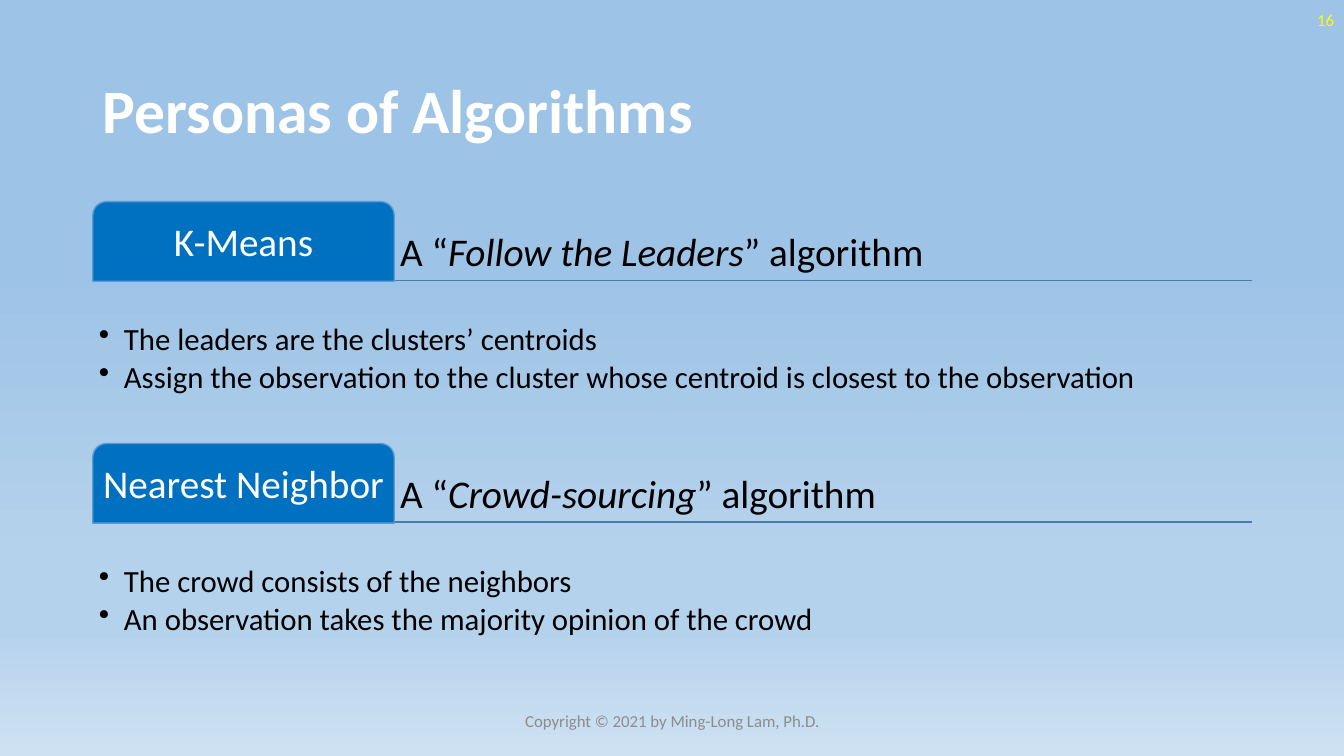
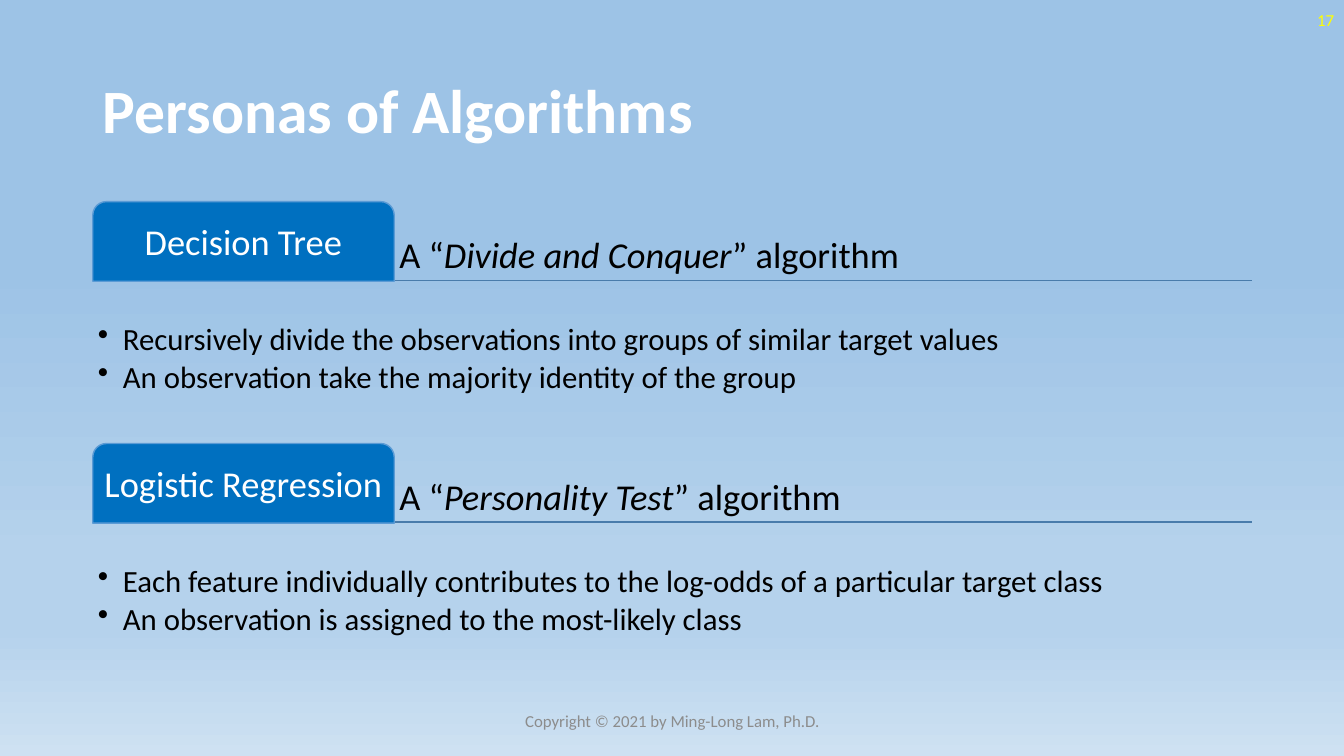
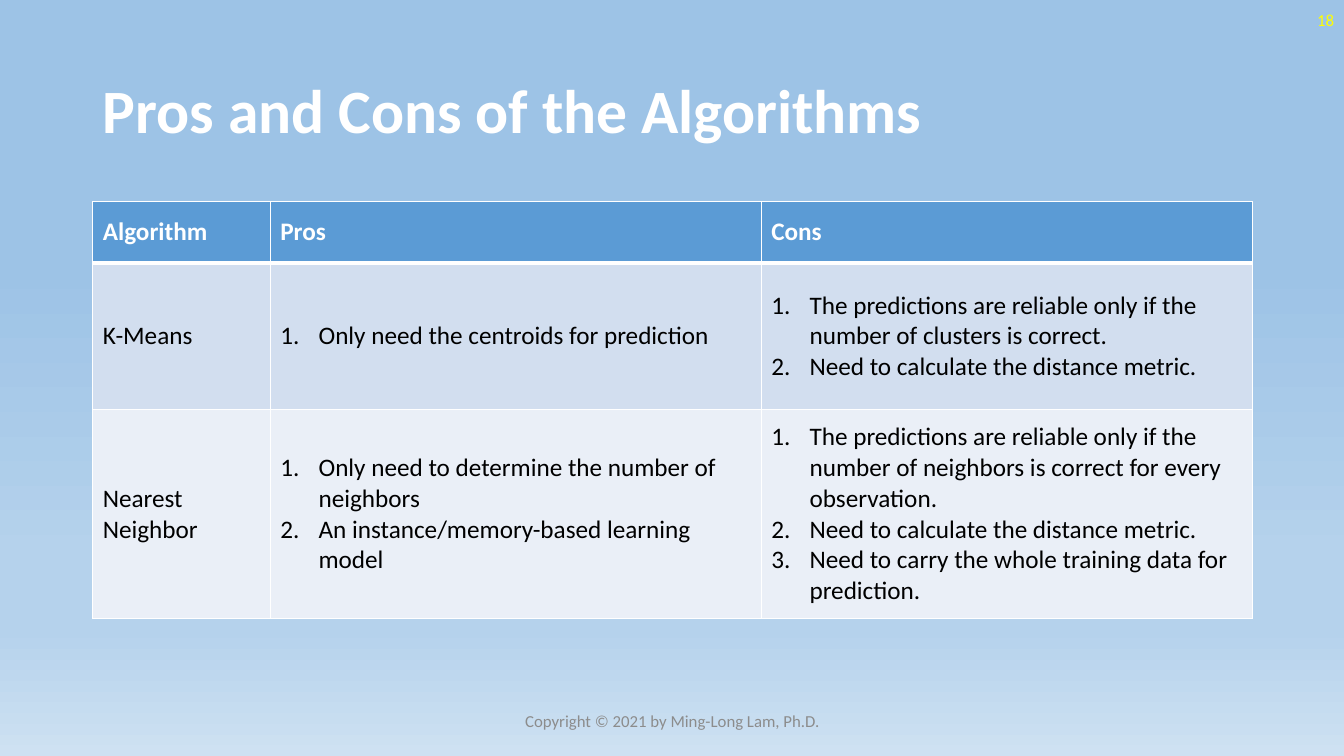
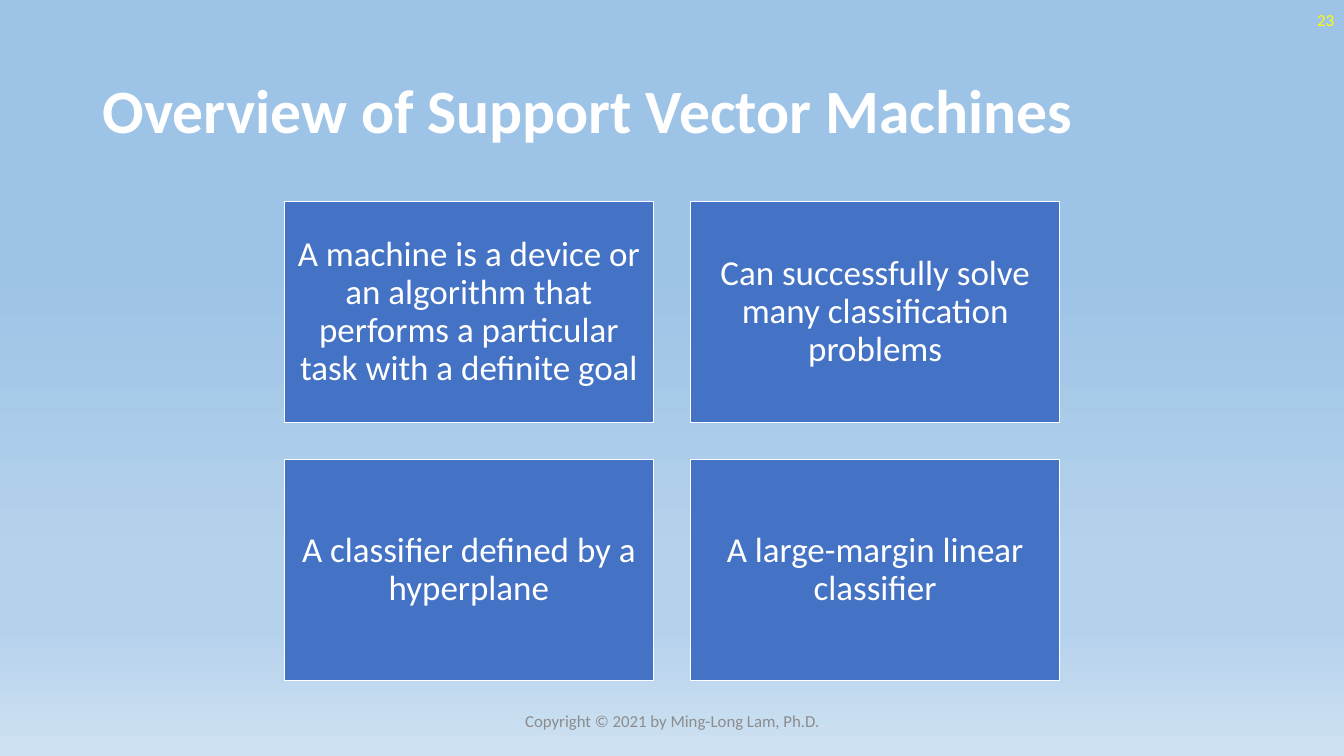
from dataclasses import dataclass
from itertools import product

from lxml.etree import SubElement
from pptx import Presentation
from pptx.dml.color import RGBColor
from pptx.enum.shapes import MSO_CONNECTOR, MSO_SHAPE
from pptx.enum.text import MSO_ANCHOR, PP_ALIGN
from pptx.oxml.ns import qn
from pptx.util import Inches, Pt


@dataclass(frozen=True)
class Theme:
    font: str = "Calibri"
    white: str = "FFFFFF"
    black: str = "000000"
    number: str = "FFFF00"
    footer: str = "8C8C8C"
    tab: str = "0070C0"
    tab_edge: str = "5B9BD5"
    rule: str = "497CAB"
    card: str = "4472C4"
    header: str = "5B9BD5"
    bands: tuple = ("D2DEEF", "EAEFF7")
    background: tuple = ((35, "9DC3E6"), (74, "B5D2EC"), (83, "B5D2EC"), (100, "CEE1F2"))
    title_size: int = 44
    card_size: int = 25
    bullet_size: int = 22
    table_size: int = 18
    small_size: int = 12


THEME = Theme()
WIDTH, HEIGHT = 13.33, 7.5
LEFT, TOP, CONTENT_WIDTH = 0.92, 2, 11.5
COPYRIGHT = "Copyright © 2021 by Ming-Long Lam, Ph.D."
BULLET = ("a:buChar", {"char": "•"}, 0.25)
NUMBERING = ("a:buAutoNum", {"type": "arabicPeriod"}, 0.38)


def color(value):
    return RGBColor.from_string(value)


def set_all(target, values):
    for name, value in values.items():
        setattr(target, name, value)


class Deck:
    def __init__(self):
        self.presentation = Presentation()
        set_all(self.presentation, {"slide_width": Inches(WIDTH), "slide_height": Inches(HEIGHT)})
        self.slide = None
        self.paint_background()

    def paint_background(self):
        master = self.presentation.slide_master
        fill = master.background.fill
        fill.gradient()
        fill.gradient_angle = 270
        stops = master.element.find(".//" + qn("a:gsLst"))
        for stop in list(stops):
            stops.remove(stop)
        for position, value in THEME.background:
            stop = SubElement(stops, qn("a:gs"), pos=str(position * 1000))
            SubElement(stop, qn("a:srgbClr"), val=value)

    def add_slide(self, title, number):
        self.slide = self.presentation.slides.add_slide(self.presentation.slide_layouts[6])
        self.text_box((LEFT, 0.4, CONTENT_WIDTH, 1.45), [title], THEME.title_size, THEME.white,
                      bold=True, spacing=0.9)
        self.text_box((10.33, 0, 3, 0.4), [str(number)], THEME.small_size, THEME.number,
                      align=PP_ALIGN.RIGHT)
        self.text_box((4.42, 6.95, 4.5, 0.4), [COPYRIGHT], THEME.small_size, THEME.footer,
                      align=PP_ALIGN.CENTER)

    def add_text(self, frame, lines, size, text_color, bold=False, align=PP_ALIGN.LEFT,
                 spacing=1.0, after=0, marker=None):
        """Fill a frame, one paragraph a line; words between asterisks are italic."""
        for index, line in enumerate(lines):
            paragraph = frame.paragraphs[0] if index == 0 else frame.add_paragraph()
            set_all(paragraph, {"alignment": align, "line_spacing": spacing,
                                "space_after": Pt(after)})
            if marker:
                tag, attributes, indent = marker
                properties = paragraph._p.get_or_add_pPr()
                properties.set("marL", str(Inches(indent)))
                properties.set("indent", str(-Inches(indent)))
                SubElement(properties, qn(tag), attributes)
            for position, part in enumerate(line.split("*")):
                run = paragraph.add_run()
                run.text = part
                set_all(run.font, {"name": THEME.font, "size": Pt(size), "bold": bold,
                                   "italic": position % 2 == 1})
                run.font.color.rgb = color(text_color)

    def set_frame(self, frame, anchor=MSO_ANCHOR.MIDDLE, inset=None, wrap=True):
        set_all(frame, {"word_wrap": wrap, "vertical_anchor": anchor})
        if inset is not None:
            sides = ("left", "top", "right", "bottom")
            set_all(frame, {f"margin_{side}": Inches(inset) for side in sides})

    def text_box(self, box, lines, size, text_color, anchor=MSO_ANCHOR.MIDDLE, inset=None,
                 **style):
        frame = self.slide.shapes.add_textbox(*map(Inches, box)).text_frame
        self.set_frame(frame, anchor, inset)
        self.add_text(frame, lines, size, text_color, **style)

    def block(self, kind, box, text, size, fill, edge, inset, wrap=True):
        shape = self.slide.shapes.add_shape(kind, *map(Inches, box))
        shape.shadow.inherit = False
        shape.fill.solid()
        shape.fill.fore_color.rgb = color(fill)
        shape.line.color.rgb = color(edge)
        shape.line.width = Pt(1)
        self.set_frame(shape.text_frame, inset=inset, wrap=wrap)
        self.add_text(shape.text_frame, [text], size, THEME.white, align=PP_ALIGN.CENTER,
                      spacing=0.9)
        return shape

    def rule(self, left, top, width):
        line = self.slide.shapes.add_connector(
            MSO_CONNECTOR.STRAIGHT, *map(Inches, (left, top, left + width, top)))
        line.line.color.rgb = color(THEME.rule)
        line.line.width = Pt(1)
        SubElement(line._element.spPr, qn("a:effectLst"))

    def persona(self, top, name, motto, bullets, size, inset):
        tab_width, tab_height = 2.99, 0.79
        bottom = top + 0.78
        self.rule(LEFT, bottom, CONTENT_WIDTH)
        self.text_box((LEFT + tab_width, top, CONTENT_WIDTH - tab_width, tab_height),
                      [f"A “*{motto}*” algorithm"], size, THEME.black,
                      anchor=MSO_ANCHOR.BOTTOM, inset=inset, spacing=0.9)
        tab = self.block(MSO_SHAPE.ROUND_2_SAME_RECTANGLE, (LEFT, top, tab_width, tab_height),
                         name, size, THEME.tab, THEME.tab_edge, inset, wrap=False)
        tab.adjustments[0] = 0.17
        self.text_box((LEFT, bottom, CONTENT_WIDTH, 1.57), bullets, THEME.bullet_size,
                      THEME.black, inset=inset, spacing=0.9, after=3.3, marker=BULLET)

    def cell(self, cell, lines, fill, text_color, borders, bold=False, marker=None):
        properties = cell._tc.get_or_add_tcPr()
        for side, width in borders.items():
            border = SubElement(properties, qn(f"a:ln{side}"), w=str(Pt(width)))
            SubElement(SubElement(border, qn("a:solidFill")), qn("a:srgbClr"), val=THEME.white)
        cell.fill.solid()
        cell.fill.fore_color.rgb = color(fill)
        cell.vertical_anchor = MSO_ANCHOR.MIDDLE
        self.add_text(cell.text_frame, lines, THEME.table_size, text_color, bold=bold,
                      marker=marker)

    def table(self, widths, heights, rows):
        box = (LEFT, TOP, sum(widths), sum(heights))
        table = self.slide.shapes.add_table(len(rows), len(widths), *map(Inches, box)).table
        for column, width in zip(table.columns, widths):
            column.width = Inches(width)
        for row, height in zip(table.rows, heights):
            row.height = Inches(height)
        for i, row in enumerate(rows):
            header = i == 0
            borders = {"L": 1, "R": 1, "T": 3 if i == 1 else 1, "B": 3 if header else 1}
            fill = THEME.header if header else THEME.bands[(i - 1) % 2]
            for j, lines in enumerate(row):
                self.cell(table.cell(i, j), lines, fill,
                          THEME.white if header else THEME.black, borders, bold=header,
                          marker=NUMBERING if i and j else None)

    def cards(self, texts, width=3.66, height=2.19, gap=0.37, columns=2):
        left = (WIDTH - columns * width - (columns - 1) * gap) / 2
        places = product(range(len(texts) // columns), range(columns))
        for text, (row, column) in zip(texts, places):
            box = (left + column * (width + gap), TOP + row * (height + gap), width, height)
            self.block(MSO_SHAPE.RECTANGLE, box, text, THEME.card_size, THEME.card,
                       THEME.white, inset=0.1)


PERSONA_SLIDES = [
    (16, 28, 0.06, [
        ("K-Means", "Follow the Leaders", [
            "The leaders are the clusters’ centroids",
            "Assign the observation to the cluster whose centroid is closest to the observation"]),
        ("Nearest Neighbor", "Crowd-sourcing", [
            "The crowd consists of the neighbors",
            "An observation takes the majority opinion of the crowd"]),
    ]),
    (17, 26, 0.05, [
        ("Decision Tree", "Divide and Conquer", [
            "Recursively divide the observations into groups of similar target values",
            "An observation take the majority identity of the group"]),
        ("Logistic Regression", "Personality Test", [
            "Each feature individually contributes to the log-odds of a particular target class",
            "An observation is assigned to the most-likely class"]),
    ]),
]

PROS_AND_CONS = [
    (["Algorithm"], ["Pros"], ["Cons"]),
    (["K-Means"],
     ["Only need the centroids for prediction"],
     ["The predictions are reliable only if the number of clusters is correct.",
      "Need to calculate the distance metric."]),
    (["Nearest Neighbor"],
     ["Only need to determine the number of neighbors",
      "An instance/memory-based learning model"],
     ["The predictions are reliable only if the number of neighbors is correct for every "
      "observation.",
      "Need to calculate the distance metric.",
      "Need to carry the whole training data for prediction."]),
]

MACHINE_FACTS = [
    "A machine is a device or an algorithm that performs a particular task with a definite goal",
    "Can successfully solve many classification problems",
    "A classifier defined by a hyperplane",
    "A large-margin linear classifier",
]


def main():
    deck = Deck()
    for number, size, inset, personas in PERSONA_SLIDES:
        deck.add_slide("Personas of Algorithms", number)
        for index, (name, motto, bullets) in enumerate(personas):
            deck.persona(TOP + index * 2.4, name, motto, bullets, size, inset)

    deck.add_slide("Pros and Cons of the Algorithms", 18)
    deck.table((1.76, 4.87, 4.87), (0.61, 1.45, 2.08), PROS_AND_CONS)

    deck.add_slide("Overview of Support Vector Machines", 23)
    deck.cards(MACHINE_FACTS)

    deck.presentation.save("out.pptx")


if __name__ == "__main__":
    main()
